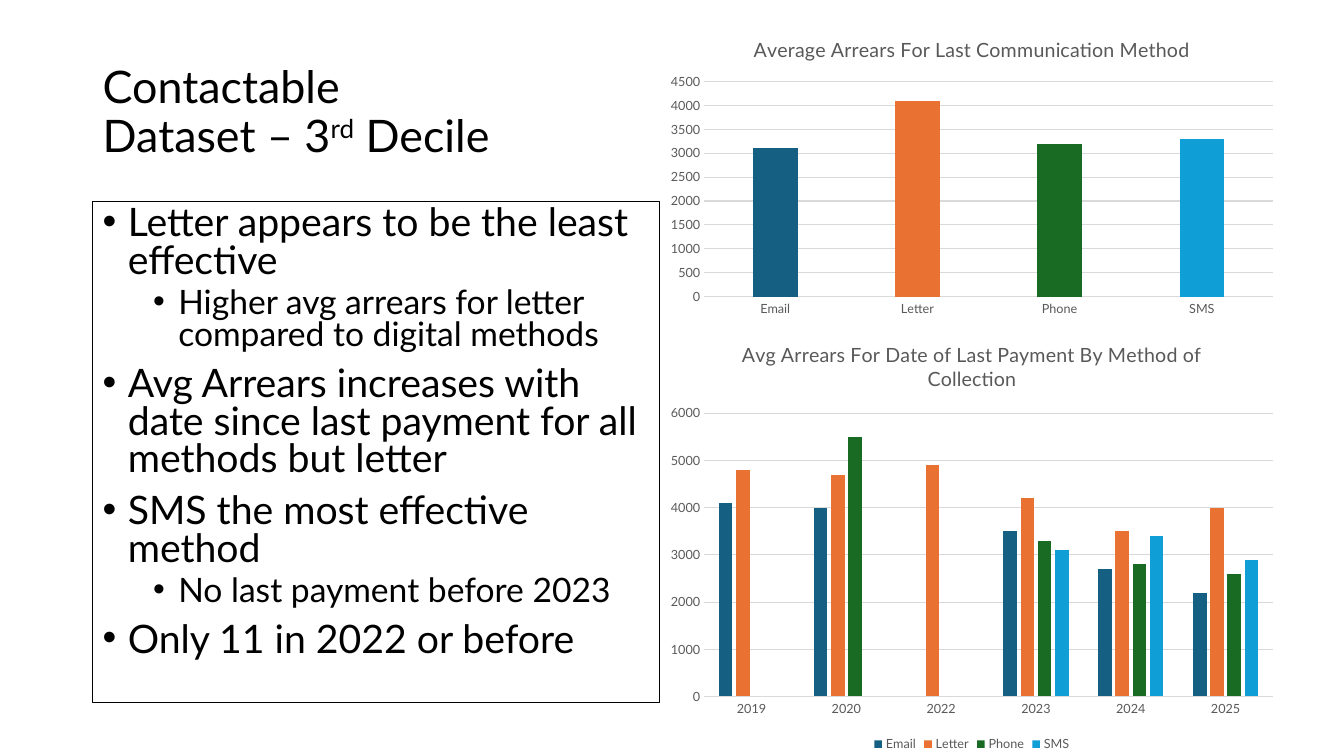
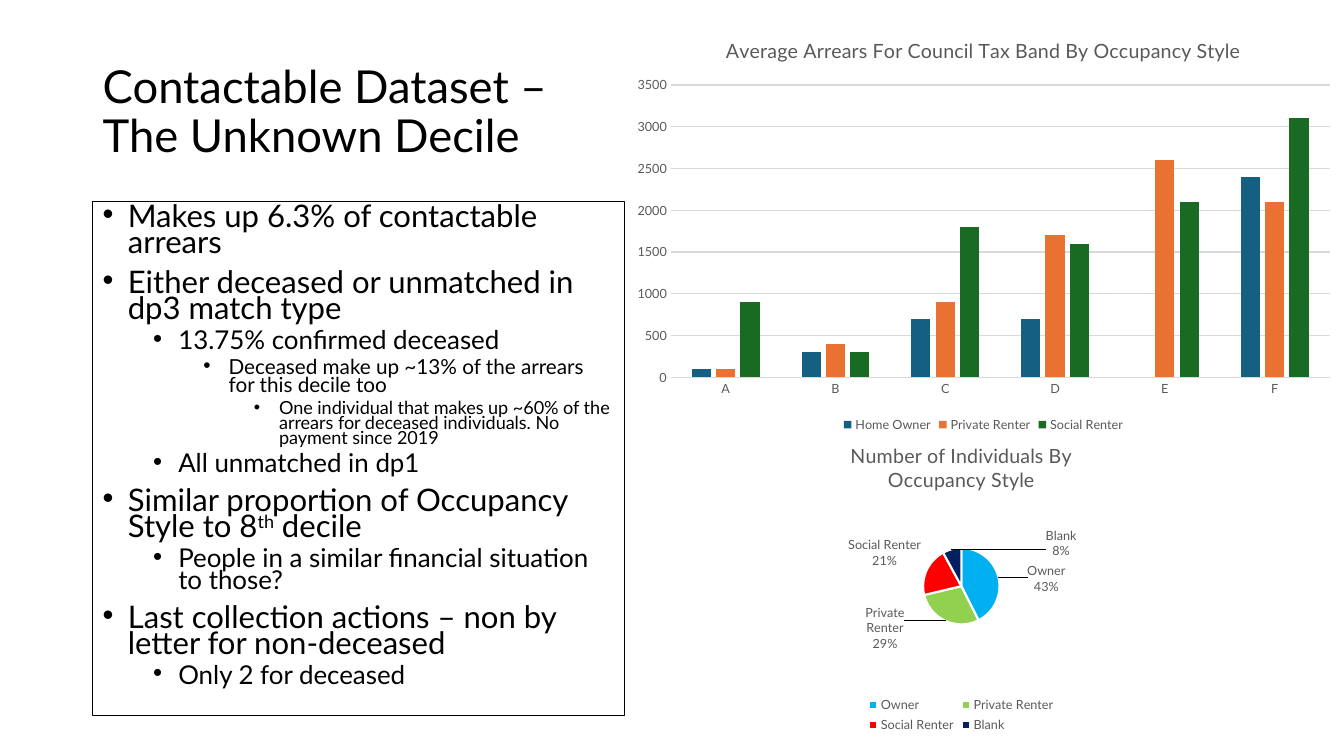
"""Build two slides on arrears in the contactable dataset, each with findings and charts."""
import lxml.etree
import pptx
import pptx.chart.data
import pptx.dml.color
import pptx.enum.chart
import pptx.enum.text
import pptx.oxml.ns
import pptx.util

Inches = pptx.util.Inches
Pt = pptx.util.Pt
qn = pptx.oxml.ns.qn

FONT = "Lato"
INK = "000000"
GREY = "595959"
GRID = "D9D9D9"
WHITE = "FFFFFF"
METHOD_COLOURS = ["156082", "E97132", "196B24", "0F9ED5"]
OCCUPANCY_COLOURS = ["00B0F0", "92D050", "FF0000", "002060"]
LEFT = 0.92


def colour(code):
    return pptx.dml.color.RGBColor.from_string(code)


def style_font(font, size, code):
    font.name = FONT
    font.size = Pt(size)
    font.bold = False
    font.color.rgb = colour(code)


def fill_paragraph(paragraph, text, size, spacing):
    """Write text, raising each part that stands between bars."""
    paragraph.line_spacing = spacing
    for index, part in enumerate(text.split("|")):
        run = paragraph.add_run()
        run.text = part
        style_font(run.font, size, INK)
        if index % 2:
            run.font._element.set("baseline", "30000")


def add_text_frame(slide, left, top, width, height):
    box = slide.shapes.add_textbox(Inches(left), Inches(top), Inches(width), Inches(height))
    box.text_frame.word_wrap = True
    return box


def add_title(slide, text, width, size):
    frame = add_text_frame(slide, LEFT, 0.4, width, 1.45).text_frame
    frame.vertical_anchor = pptx.enum.text.MSO_ANCHOR.MIDDLE
    fill_paragraph(frame.paragraphs[0], text, size, 0.9)


def add_bullet(paragraph, level):
    properties = paragraph._p.get_or_add_pPr()
    properties.set("marL", str(Inches(0.25 + 0.5 * level)))
    properties.set("indent", str(Inches(-0.25)))
    lxml.etree.SubElement(properties, qn("a:buFont"), typeface="Arial")
    lxml.etree.SubElement(properties, qn("a:buChar"), char="•")


def add_findings(slide, findings, width, height, sizes, spacing):
    """Add the outlined list; each finding is a level and its text."""
    box = add_text_frame(slide, LEFT, 2, width, height)
    box.line.color.rgb = colour(INK)
    box.line.width = Pt(0.75)
    frame = box.text_frame
    for index, (level, text) in enumerate(findings):
        paragraph = frame.add_paragraph() if index else frame.paragraphs[0]
        paragraph.level = level
        paragraph.space_before = Pt(5 if level else 10)
        fill_paragraph(paragraph, text, sizes[level], spacing)
        add_bullet(paragraph, level)


def add_chart(slide, kind, place, title, categories, series, legend):
    data = pptx.chart.data.CategoryChartData()
    data.categories = categories
    for name, values in series.items():
        data.add_series(name, values)
    chart = slide.shapes.add_chart(kind, *map(Inches, place), data).chart
    style_font(chart.font, 10, INK)
    chart.has_title = True
    heading = chart.chart_title.text_frame
    heading.text = title
    style_font(heading.paragraphs[0].runs[0].font, 14, GREY)
    chart.chart_title.include_in_layout = False
    chart.has_legend = legend
    if legend:
        chart.legend.position = pptx.enum.chart.XL_LEGEND_POSITION.BOTTOM
        chart.legend.include_in_layout = False
        style_font(chart.legend.font, 9, GREY)
    return chart


def paint(part, code):
    part.format.fill.solid()
    part.format.fill.fore_color.rgb = colour(code)


def paint_points(series, colours):
    for index, code in enumerate(colours):
        paint(series.points[index], code)


def add_columns(slide, place, title, categories, series, top, step, legend=True):
    kind = pptx.enum.chart.XL_CHART_TYPE.COLUMN_CLUSTERED
    chart = add_chart(slide, kind, place, title, categories, series, legend)
    plot = chart.plots[0]
    plot.vary_by_categories = False
    plot.gap_width = 219
    plot.overlap = -27
    for axis in (chart.category_axis, chart.value_axis):
        axis.major_tick_mark = pptx.enum.chart.XL_TICK_MARK.NONE
        axis.minor_tick_mark = pptx.enum.chart.XL_TICK_MARK.NONE
        style_font(axis.tick_labels.font, 9, GREY)
    amounts = chart.value_axis
    amounts.minimum_scale = 0
    amounts.maximum_scale = top
    amounts.major_unit = step
    amounts.has_major_gridlines = True
    amounts.format.line.fill.background()
    for rule in (chart.category_axis, amounts.major_gridlines):
        rule.format.line.color.rgb = colour(GRID)
        rule.format.line.width = Pt(0.75)
    for group, code in zip(plot.series, METHOD_COLOURS):
        paint(group, code)
        group.invert_if_negative = False
    return chart


def manual_layout(**settings):
    layout = lxml.etree.Element(qn("c:layout"))
    manual = lxml.etree.SubElement(layout, qn("c:manualLayout"))
    for name, value in settings.items():
        lxml.etree.SubElement(manual, qn("c:" + name), val=str(value))
    return layout


def move_label(point, across, down):
    """Shift one pie label by fractions of the chart size."""
    label = point.data_label
    style_font(label.font, 9, GREY)
    label.position = pptx.enum.chart.XL_LABEL_POSITION.OUTSIDE_END
    element = label.font._element.xpath("ancestor::c:dLbl")[0]
    element.find(qn("c:idx")).addnext(manual_layout(x=across, y=down))
    for name, shown in (("showVal", 0), ("showCatName", 1), ("showPercent", 1)):
        element.find(qn("c:" + name)).set("val", str(shown))
    lxml.etree.SubElement(element, qn("c:separator")).text = "\n"


def add_pie(slide, place, title, categories, shares, offsets):
    kind = pptx.enum.chart.XL_CHART_TYPE.PIE
    chart = add_chart(slide, kind, place, title, categories, {"Series 1": shares}, True)
    plot = chart.plots[0]
    plot.vary_by_categories = True
    slices = plot.series[0]
    paint_points(slices, OCCUPANCY_COLOURS)
    for index in range(len(shares)):
        edge = slices.points[index].format.line
        edge.color.rgb = colour(WHITE)
        edge.width = Pt(1.5)
    labels = slices.data_labels
    labels.show_value = False
    labels.show_category_name = True
    labels.show_percentage = True
    labels.position = pptx.enum.chart.XL_LABEL_POSITION.OUTSIDE_END
    style_font(labels.font, 9, GREY)
    shared = labels._element
    separator = lxml.etree.Element(qn("c:separator"))
    separator.text = "\n"
    shared.find(qn("c:showBubbleSize")).addnext(separator)
    for index, (across, down) in offsets.items():
        move_label(slices.points[index], across, down)
    area = plot._element.getparent()
    for existing in area.findall(qn("c:layout")):
        area.remove(existing)
    area.insert(0, manual_layout(layoutTarget="inner", xMode="edge", yMode="edge",
                                 x=0.4, y=0.39, w=0.2, h=0.25))


def build_third_decile(slide):
    add_title(slide, "Contactable Dataset – 3|rd| Decile", 4.09, 32)
    findings = [
        (0, "Letter appears to be the least effective"),
        (1, "Higher avg arrears for letter compared to digital methods"),
        (0, "Avg Arrears increases with date since last payment for all methods but letter"),
        (0, "SMS the most effective method"),
        (1, "No last payment before 2023"),
        (0, "Only 11 in 2022 or before"),
    ]
    add_findings(slide, findings, 5.62, 4.97, [28, 24], 0.8)
    methods = ["Email", "Letter", "Phone", "SMS"]
    by_method = add_columns(
        slide, (6.53, 0.2, 6.22, 3), "Average Arrears For Last Communication Method",
        methods, {"Series 1": [3100, 4100, 3200, 3300]}, 4500, 500, legend=False)
    paint_points(by_method.plots[0].series[0], METHOD_COLOURS)
    arrears = [
        [4100, 4000, None, 3500, 2700, 2200],
        [4800, 4700, 4900, 4200, 3500, 4000],
        [None, 5500, None, 3300, 2800, 2600],
        [None, None, None, 3100, 3400, 2900],
    ]
    add_columns(
        slide, (6.53, 3.2, 6.22, 4.3),
        "Avg Arrears For Date of Last Payment By Method of Collection",
        ["2019", "2020", "2022", "2023", "2024", "2025"],
        dict(zip(methods, arrears)), 6000, 1000)


def build_unknown_decile(slide):
    add_title(slide, "Contactable Dataset – The Unknown Decile", 4.65, 32.4)
    findings = [
        (0, "Makes up 6.3% of contactable arrears"),
        (0, "Either deceased or unmatched in dp3 match type"),
        (1, "13.75% confirmed deceased"),
        (2, "Deceased make up ~13% of the arrears for this decile too"),
        (3, "One individual that makes up ~60% of the arrears for deceased individuals. "
            "No payment since 2019"),
        (1, "All unmatched in dp1"),
        (0, "Similar proportion of Occupancy Style to 8|th| decile"),
        (1, "People in a similar financial situation to those?"),
        (0, "Last collection actions – non by letter for non-deceased"),
        (1, "Only 2 for deceased"),
    ]
    add_findings(slide, findings, 5.27, 5.1, [22.2, 18.5, 14.8, 12.9], 0.7)
    add_pie(
        slide, (7.64, 4.23, 3.79, 3.08), "Number of Individuals By Occupancy Style",
        ["Owner", "Private Renter", "Social Renter", "Blank"], [43, 29, 21, 8],
        {0: (0.06, 0.06), 1: (-0.1, -0.07), 3: (0.33, 0.05)})
    arrears = {
        "Home Owner": [100, 300, 700, 700, None, 2400],
        "Private Renter": [100, 400, 900, 1700, 2600, 2100],
        "Social Renter": [900, 300, 1800, 1600, 2100, 3100],
    }
    add_columns(
        slide, (6.18, 0.19, 7.15, 4.14),
        "Average Arrears For Council Tax Band By Occupancy Style",
        list("ABCDEF"), arrears, 3500, 500)


def main():
    deck = pptx.Presentation()
    deck.slide_width = Inches(13.33)
    deck.slide_height = Inches(7.5)
    for build in (build_third_decile, build_unknown_decile):
        build(deck.slides.add_slide(deck.slide_layouts[6]))
    deck.save("out.pptx")


if __name__ == "__main__":
    main()
